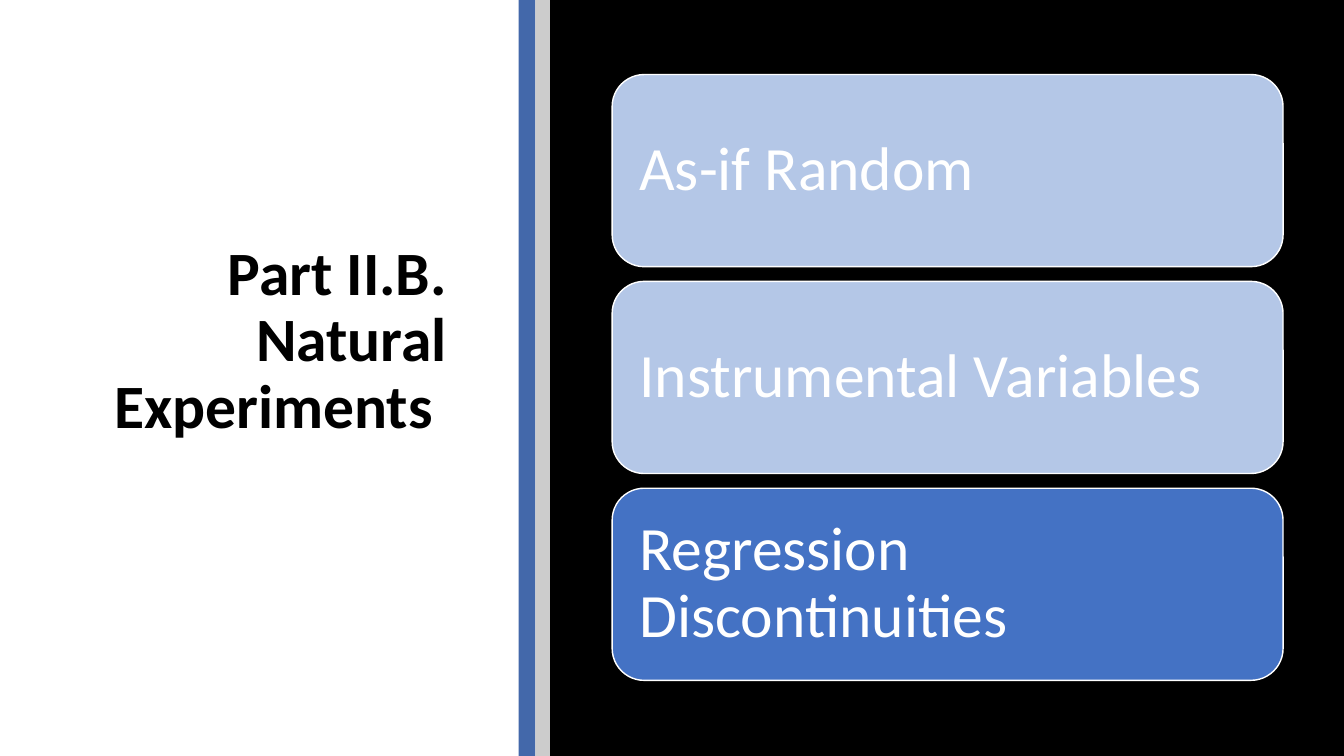
from dataclasses import dataclass

from pptx import Presentation
from pptx.dml.color import RGBColor as RGB
from pptx.enum.shapes import MSO_SHAPE as SHAPE
from pptx.enum.text import MSO_ANCHOR as ANCHOR, MSO_AUTO_SIZE as AUTO, PP_ALIGN as ALIGN
from pptx.util import Emu, Pt

EMU_PER_PX = 9525
WIDTH, HEIGHT = 1280, 720


def px(n):
    return Emu(n * EMU_PER_PX)


@dataclass(frozen=True)
class Theme:
    font: str = "Calibri"
    size: int = 44
    ink: str = "000000"
    white: str = "FFFFFF"
    stripe_blue: str = "4368AA"
    stripe_gray: str = "CCCCCC"
    muted: str = "B4C7E7"
    accent: str = "4472C4"


class Deck:
    def __init__(self, theme):
        self.theme = theme
        self.prs = Presentation()
        self.prs.slide_width, self.prs.slide_height = px(WIDTH), px(HEIGHT)
        self.s = self.prs.slides.add_slide(self.prs.slide_layouts[5])

    def _text(self, sp, text, color, align, inset_x, inset_y, bold=False):
        tf = sp.text_frame
        tf.word_wrap, tf.auto_size = True, AUTO.NONE
        tf.vertical_anchor = ANCHOR.MIDDLE
        tf.margin_left = tf.margin_right = px(inset_x)
        tf.margin_top = tf.margin_bottom = px(inset_y)
        p = tf.paragraphs[0]
        p.text = text
        p.alignment, p.line_spacing = align, 0.9
        p.font.name, p.font.size = self.theme.font, Pt(self.theme.size)
        p.font.bold = bold
        p.font.color.rgb = RGB.from_string(color)

    def _shape(self, kind, x, y, w, h, fill):
        sp = self.s.shapes.add_shape(kind, px(x), px(y), px(w), px(h))
        sp.shadow.inherit = False
        sp.fill.solid()
        sp.fill.fore_color.rgb = RGB.from_string(fill)
        return sp

    def title(self, text, x, y, w, h):
        sp = self.s.shapes.title
        sp.left, sp.top, sp.width, sp.height = px(x), px(y), px(w), px(h)
        self._text(sp, text, self.theme.ink, ALIGN.RIGHT, 10, 5, bold=True)

    def panel(self, left, right, fill):
        sp = self._shape(SHAPE.RECTANGLE, left, 0, right - left, HEIGHT, fill)
        sp.line.fill.background()

    def card(self, text, x, y, w, h, fill):
        sp = self._shape(SHAPE.ROUNDED_RECTANGLE, x, y, w, h, fill)
        sp.line.color.rgb = RGB.from_string(self.theme.white)
        sp.line.width = Pt(1)
        self._text(sp, text, self.theme.white, ALIGN.LEFT, 17, 17)

    def save(self):
        self.prs.save("out.pptx")


def main():
    theme = Theme()
    deck = Deck(theme)
    deck.title("Part II.B.\vNatural Experiments \v", 80, 102, 356, 517)

    edges = (494, 510, 524, WIDTH)
    fills = (theme.stripe_blue, theme.stripe_gray, theme.ink)
    for left, right, fill in zip(edges, edges[1:], fills):
        deck.panel(left, right, fill)

    card_h, gap = 183, 14
    topics = (
        ("As-if Random", theme.muted),
        ("Instrumental Variables", theme.muted),
        ("Regression Discontinuities", theme.accent),
    )
    for i, (topic, fill) in enumerate(topics):
        deck.card(topic, 583, 71 + i * (card_h + gap), 639, card_h, fill)
    deck.save()


if __name__ == "__main__":
    main()
